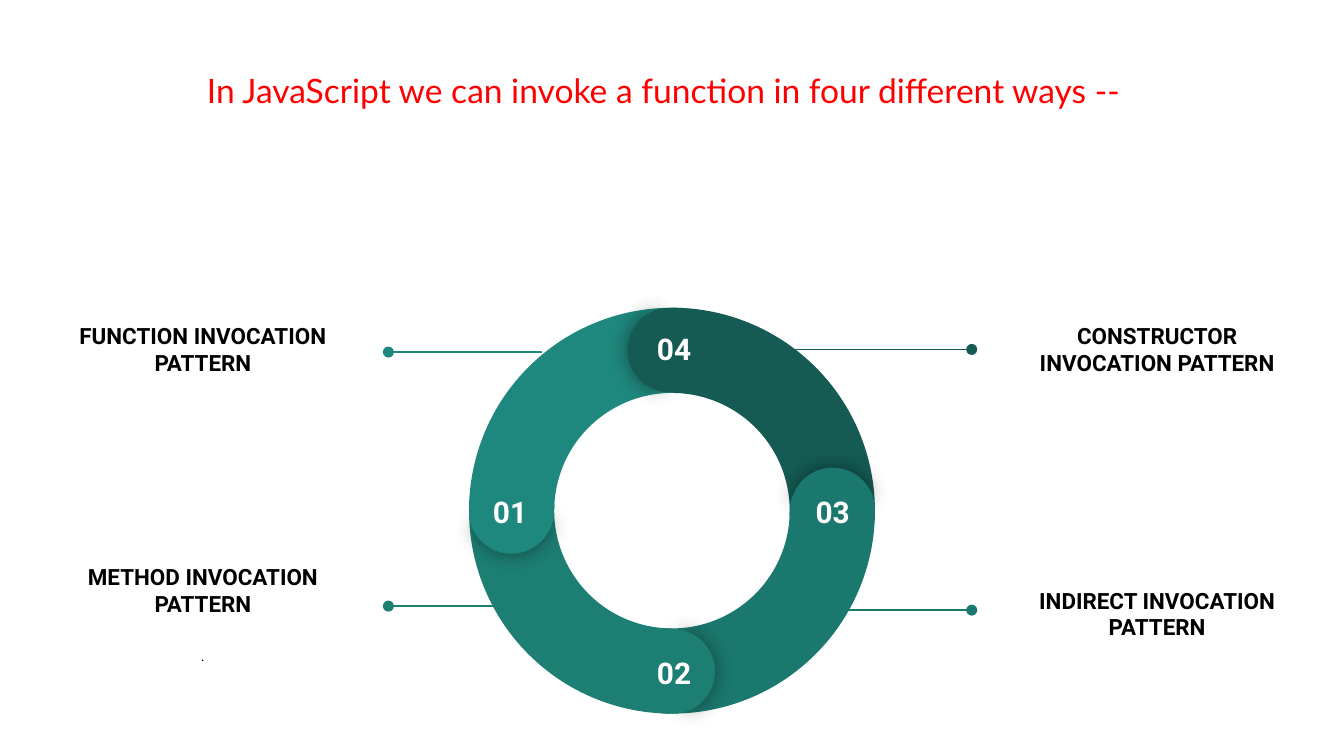
from copy import deepcopy

from lxml import etree
from pptx import Presentation
from pptx import util as u
from pptx.dml import color
from pptx.enum import shapes, text
from pptx.oxml import ns

COLORS = {
    "title": "FF0000",
    "label": "000000",
    "number": "FFFFFF",
    "shadow": "000000",
    "01": "1F887E",
    "02": "1D7E74",
    "03": "1B786E",
    "04": "155B54",
}
TITLE_FONT = {"name": "Lato", "size": u.Pt(18), "bold": False}
NUMBER_FONT = {"name": "Roboto", "size": u.Pt(16), "bold": True}
LABEL_FONT = {"name": "Roboto", "size": u.Pt(12), "bold": True}
DOT_FONT = {"name": "Roboto", "size": u.Pt(8), "bold": False}

SLIDE_WIDTH = 10
SLIDE_HEIGHT = SLIDE_WIDTH * 9 / 16
RING = (3.49, 2.29, 3.02, 3.02)
CAP_SIZE = 0.63
ARC_ADJUST = (126.23, 181.77, 0.21)
SHADOW_CAP_ADJUST = (61.9, 149.96)
FLAT_CAP_ADJUST = (40.28, 171.84)

ARC_ORDER = ("02", "01", "04", "03")
SEGMENTS = {
    "03": ((5.88, 3.48), (5.92, 3.57)),
    "02": ((4.69, 4.68), (4.74, 4.77)),
    "01": ((3.49, 3.49), (3.52, 3.57)),
    "04": ((4.67, 2.29), (4.74, 2.36)),
}
CALLOUTS = [
    ("01", (0.35, 1.89), (4.03, 2.89, 2.62), ["FUNCTION INVOCATION\vPATTERN"]),
    ("02", (0.35, 3.86), (4.32, 2.89, 4.51), ["METHOD INVOCATION PATTERN", "."]),
    ("04", (7.45, 1.89), (5.82, 7.23, 2.6), ["CONSTRUCTOR INVOCATION PATTERN"]),
    ("03", (7.45, 3.86), (5.82, 7.23, 4.54), ["INDIRECT INVOCATION PATTERN"]),
]


def inches(*lengths):
    return [u.Inches(length) for length in lengths]


def rgb(key):
    return color.RGBColor.from_string(COLORS[key])


def apply(target, values):
    for name, value in values.items():
        setattr(target, name, value)


def format_frame(frame, anchor):
    inset = u.Inches(0.1)
    apply(frame, {
        "word_wrap": True, "vertical_anchor": anchor,
        "margin_left": inset, "margin_right": inset,
        "margin_top": inset, "margin_bottom": inset,
    })


def write_paragraph(paragraph, words, font, color_key, align):
    paragraph.text = words
    paragraph.alignment = align
    for run in paragraph.runs:
        apply(run.font, font)
        run.font.color.rgb = rgb(color_key)
    for line_break in paragraph._p.findall(ns.qn("a:br")):
        line_break.append(deepcopy(paragraph.runs[0]._r.rPr))


def add_title(slide):
    title = slide.shapes.title
    left, top, width, height = inches(1.44, 0.42, 7.28, 0.5)
    apply(title, {"left": left, "top": top, "width": width, "height": height})
    frame = title.text_frame
    format_frame(frame, text.MSO_ANCHOR.TOP)
    frame.auto_size = text.MSO_AUTO_SIZE.SHAPE_TO_FIT_TEXT
    write_paragraph(
        frame.paragraphs[0],
        "In JavaScript we can invoke a function in four different ways --",
        TITLE_FONT, "title", text.PP_ALIGN.LEFT)


def add_piece(group, preset, box, rotation, adjust, color_key):
    piece = group.shapes.add_shape(preset, *inches(*box))
    piece.rotation = rotation % 360
    for index, value in enumerate(adjust):
        piece.adjustments[index] = value
    piece.fill.solid()
    piece.fill.fore_color.rgb = rgb(color_key)
    piece.line.fill.background()
    piece.shadow.inherit = False
    return piece


def add_glow_shadow(piece):
    effects = piece._element.spPr.find(ns.qn("a:effectLst"))
    shadow = etree.SubElement(
        effects, ns.qn("a:outerShdw"), blurRad=str(u.Pt(11.2)),
        dist="0", dir="0", algn="ctr", rotWithShape="0")
    tint = etree.SubElement(shadow, ns.qn("a:srgbClr"), val=COLORS["shadow"])
    etree.SubElement(tint, ns.qn("a:alpha"), val="43000")


def add_number(group, number, position):
    box = group.shapes.add_textbox(*inches(*position, 0.55, 0.29))
    format_frame(box.text_frame, text.MSO_ANCHOR.TOP)
    write_paragraph(box.text_frame.paragraphs[0], number, NUMBER_FONT,
                    "number", text.PP_ALIGN.CENTER)


def add_ring(slide):
    group = slide.shapes.add_group_shape()
    preset = shapes.MSO_SHAPE
    for number in ARC_ORDER:
        add_piece(group, preset.BLOCK_ARC, RING, 420 - 90 * int(number),
                  ARC_ADJUST, number)
    for number, (cap_position, number_position) in SEGMENTS.items():
        cap_box = (*cap_position, CAP_SIZE, CAP_SIZE)
        turn = 180 - 90 * int(number)
        shadow_cap = add_piece(group, preset.PIE, cap_box, turn + 180.7,
                               SHADOW_CAP_ADJUST, number)
        add_glow_shadow(shadow_cap)
        add_piece(group, preset.PIE, cap_box, turn, FLAT_CAP_ADJUST, number)
        add_number(group, number, number_position)


def add_leader(group, start, end, y, color_key):
    leader = group.shapes.add_connector(
        shapes.MSO_CONNECTOR.STRAIGHT, *inches(start, y, end, y))
    leader.line.color.rgb = rgb(color_key)
    leader.line.width = u.Pt(0.75)
    etree.SubElement(leader.line._get_or_add_ln(), ns.qn("a:tailEnd"), type="oval")
    etree.SubElement(leader._element.spPr, ns.qn("a:effectLst"))


def add_callout(slide, number, position, leader, lines):
    group = slide.shapes.add_group_shape()
    label = group.shapes.add_textbox(*inches(*position, 2.32, 1.41))
    frame = label.text_frame
    format_frame(frame, text.MSO_ANCHOR.MIDDLE)
    for index, words in enumerate(lines):
        paragraph = frame.add_paragraph() if index else frame.paragraphs[0]
        write_paragraph(paragraph, words, DOT_FONT if index else LABEL_FONT,
                        "label", text.PP_ALIGN.CENTER)
        if index:
            paragraph.space_before = u.Pt(16)
    paragraph.space_after = u.Pt(16)
    add_leader(group, *leader, number)


def main():
    deck = Presentation()
    deck.slide_width, deck.slide_height = inches(SLIDE_WIDTH, SLIDE_HEIGHT)
    slide = deck.slides.add_slide(deck.slide_layouts[5])
    add_title(slide)
    add_ring(slide)
    for callout in CALLOUTS:
        add_callout(slide, *callout)
    deck.save("out.pptx")


if __name__ == "__main__":
    main()
